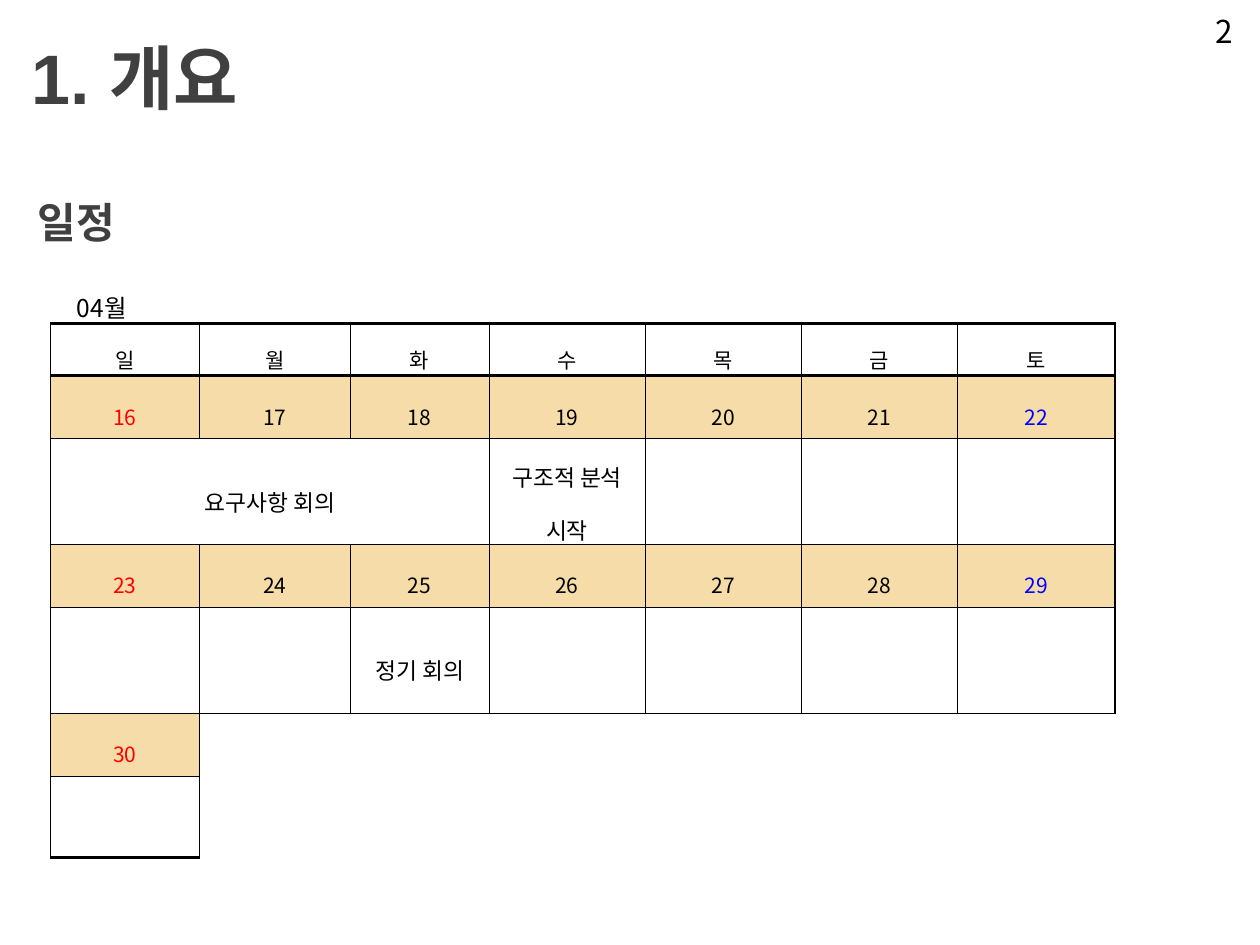
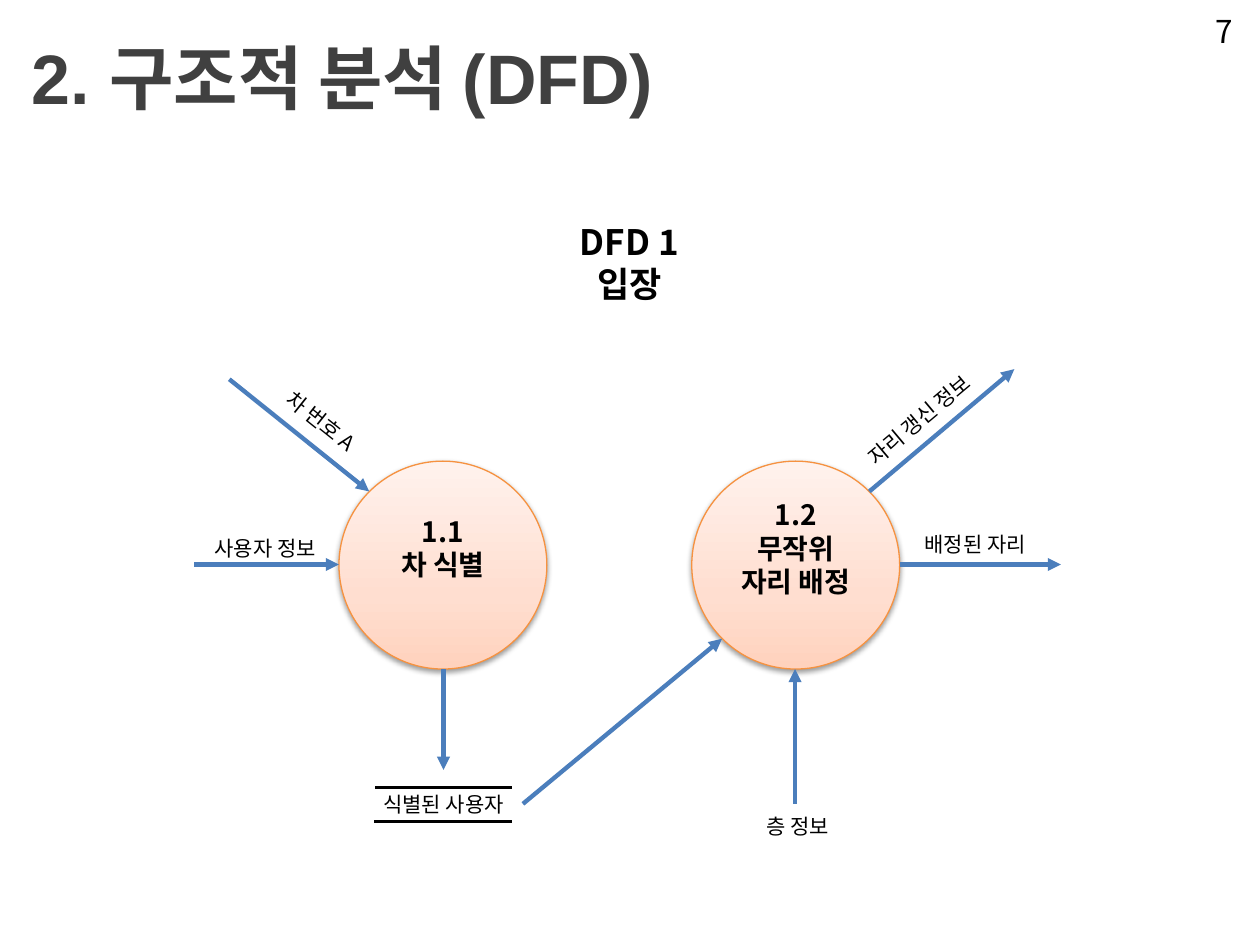
from dataclasses import dataclass

from lxml.etree import SubElement
from pptx import Presentation
from pptx.dml.color import RGBColor
from pptx.enum.shapes import MSO_CONNECTOR, MSO_SHAPE
from pptx.enum.text import MSO_ANCHOR, MSO_AUTO_SIZE, PP_ALIGN
from pptx.oxml import parse_xml
from pptx.oxml.ns import nsdecls, qn
from pptx.util import Inches, Pt

COLORS = {
    "title": "404040",
    "text": "000000",
    "sunday": "FF0000",
    "saturday": "0000FF",
    "date_fill": "F5DCA8",
    "paper": "FFFFFF",
    "arrow": "4B7EBC",
    "process_line": "F69240",
    "process_bottom": "FFD2BD",
    "process_middle": "FFDED0",
    "process_top": "FFF2ED",
}
TITLE_FONT = "Arial"
BODY_FONT = "Noto Sans CJK KR"


@dataclass
class TextStyle:
    size: float
    color: str = "text"
    font: str = BODY_FONT
    bold: bool = False
    align: PP_ALIGN = PP_ALIGN.CENTER


@dataclass
class Label:
    text: str
    left: float
    top: float
    width: float
    height: float = 0.3
    rotation: float = 0


@dataclass
class Process:
    text: str
    left: float


@dataclass
class Line:
    start: tuple[float, float]
    end: tuple[float, float]
    color: str = "arrow"
    width: float = 2.5
    arrow: bool = True


TITLE = TextStyle(40, "title", TITLE_FONT, True, PP_ALIGN.LEFT)
SUBTITLE = TextStyle(24, "title", TITLE_FONT, True, PP_ALIGN.LEFT)
PAGE_NUMBER = TextStyle(18, align=PP_ALIGN.RIGHT)
DIAGRAM_TITLE = TextStyle(20, bold=True)
PROCESS_TEXT = TextStyle(16, bold=True)
FLOW_TEXT = TextStyle(12)


def rgb(name: str) -> RGBColor:
    return RGBColor.from_string(COLORS[name])


def write_text(text_frame, text: str, style: TextStyle) -> None:
    """Write one paragraph for each line of the text."""
    for index, line in enumerate(text.split("\n")):
        paragraph = text_frame.add_paragraph() if index else text_frame.paragraphs[0]
        paragraph.alignment = style.align
        run = paragraph.add_run()
        run.text = line
        run.font.name = style.font
        run.font.size = Pt(style.size)
        run.font.bold = style.bold
        run.font.color.rgb = rgb(style.color)
        SubElement(run.font._element, qn("a:ea"), typeface=BODY_FONT)


def add_label(slide, label: Label, style: TextStyle, grow: bool = True) -> None:
    shape = slide.shapes.add_textbox(
        Inches(label.left), Inches(label.top), Inches(label.width), Inches(label.height)
    )
    shape.rotation = label.rotation
    text_frame = shape.text_frame
    text_frame.word_wrap = True
    if grow:
        text_frame.auto_size = MSO_AUTO_SIZE.SHAPE_TO_FIT_TEXT
    else:
        text_frame.vertical_anchor = MSO_ANCHOR.MIDDLE
    write_text(text_frame, label.text, style)


def add_base_slide(presentation, title: str, number: str):
    """Add a slide with the shared title and page number."""
    slide = presentation.slides.add_slide(presentation.slide_layouts[6])
    add_label(slide, Label(title, 0, 0.02, 10, 1.17), TITLE, grow=False)
    add_label(slide, Label(number, 9.33, 0.05, 0.55, 0.4), PAGE_NUMBER)
    return slide


# Calendar
COLUMN_WIDTHS = [1.18, 1.2, 1.1, 1.24, 1.24, 1.24, 1.25]
ROW_HEIGHTS = [0.47, 0.41, 0.5, 0.84, 0.5, 0.84, 0.5, 0.65]
CALENDAR = {
    0: {0: "04월"},
    1: dict(enumerate("일월화수목금토")),
    2: {day: str(16 + day) for day in range(7)},
    3: {0: "요구사항 회의", 3: "구조적 분석 시작"},
    4: {day: str(23 + day) for day in range(7)},
    5: {2: "정기 회의"},
    6: {0: "30"},
}
DATE_ROWS = (2, 4, 6)
EVENT_ROWS = (3, 5)
MERGES = [(0, 0, 0, 6), (3, 0, 3, 2), (6, 1, 7, 6)]  # top, left, bottom, right
THIN, THICK = 0.28, 1.98


def block_of(row: int, column: int) -> tuple[int, int]:
    for top, left, bottom, right in MERGES:
        if top <= row <= bottom and left <= column <= right:
            return top, left
    return row, column


def horizontal_width(line: int, column: int) -> float:
    """Width of the rule above the row with this index."""
    if line == 0 or block_of(line - 1, column) == block_of(line, column):
        return 0
    return THICK if line in (1, 2, len(ROW_HEIGHTS)) else THIN


def vertical_width(row: int, line: int) -> float:
    """Width of the rule left of the column with this index."""
    if row == 0 or block_of(row, line - 1) == block_of(row, line):
        return 0
    return 1.7 if line == len(COLUMN_WIDTHS) else THIN


def set_borders(cell, row: int, column: int) -> None:
    properties = cell._tc.get_or_add_tcPr()
    widths = {
        "lnL": vertical_width(row, column),
        "lnR": vertical_width(row, column + 1),
        "lnT": horizontal_width(row, column),
        "lnB": horizontal_width(row + 1, column),
    }
    for tag, width in widths.items():
        border = SubElement(properties, qn(f"a:{tag}"), w=str(Pt(width)))
        if width:
            fill = SubElement(border, qn("a:solidFill"))
            SubElement(fill, qn("a:srgbClr"), val=COLORS["text"])
        else:
            SubElement(border, qn("a:noFill"))


def cell_style(row: int, column: int) -> TextStyle:
    if row == 0:
        return TextStyle(14, align=PP_ALIGN.JUSTIFY)
    color = "text"
    if row in DATE_ROWS:
        color = {0: "sunday", 6: "saturday"}.get(column, "text")
    return TextStyle(13 if row in EVENT_ROWS else 12, color)


def add_calendar(slide) -> None:
    table = slide.shapes.add_table(
        len(ROW_HEIGHTS), len(COLUMN_WIDTHS), Inches(0.4), Inches(2.1),
        Inches(sum(COLUMN_WIDTHS)), Inches(sum(ROW_HEIGHTS)),
    ).table
    table.first_row = table.horz_banding = False
    for column, width in zip(table.columns, COLUMN_WIDTHS):
        column.width = Inches(width)
    for row, height in zip(table.rows, ROW_HEIGHTS):
        row.height = Inches(height)
    for top, left, bottom, right in MERGES:
        table.cell(top, left).merge(table.cell(bottom, right))

    for row in range(len(ROW_HEIGHTS)):
        for column in range(len(COLUMN_WIDTHS)):
            cell = table.cell(row, column)
            text = CALENDAR.get(row, {}).get(column)
            set_borders(cell, row, column)
            cell.fill.solid()
            cell.fill.fore_color.rgb = rgb(
                "date_fill" if text and row in DATE_ROWS else "paper"
            )
            cell.vertical_anchor = MSO_ANCHOR.MIDDLE
            cell.margin_left = cell.margin_right = Inches(0.07)
            cell.margin_top = cell.margin_bottom = Inches(0.02)
            if text:
                write_text(cell.text_frame, text, cell_style(row, column))
                cell.text_frame.paragraphs[0].line_spacing = 1.6
    month = table.cell(0, 0).text_frame.paragraphs[0]
    month._p.get_or_add_pPr().set("indent", str(Inches(0.14)))


# Data flow diagram
PROCESS_TOP, PROCESS_SIZE = 3.66, 1.65
PROCESSES = [Process("1.1\n차 식별", 2.69), Process("1.2\n무작위\n자리 배정", 5.49)]
FLOW_LABELS = [
    Label("차 번호 A", 2.04, 3.19, 1.02, rotation=38.6),
    Label("사용자 정보", 1.53, 4.2, 1.15),
    Label("식별된 사용자", 2.85, 6.23, 1.34),
    Label("배정된 자리", 7.15, 4.17, 1.18),
    Label("층 정보", 5.92, 6.41, 0.82),
    Label("자리 갱신 정보", 6.61, 3.18, 1.37, rotation=320),
]
LINES = [
    Line((1.82, 3.01), (2.93, 3.9)),
    Line((1.54, 4.48), (2.69, 4.48)),
    Line((3.52, 5.31), (3.52, 6.11)),
    Line((4.15, 6.38), (5.73, 5.07)),
    Line((6.31, 6.38), (6.31, 5.31)),
    Line((6.9, 3.9), (8.05, 2.93)),
    Line((7.14, 4.48), (8.42, 4.48)),
    # Rules of the data store
    Line((2.98, 6.25), (4.06, 6.25), "text", 2, False),
    Line((2.97, 6.52), (4.06, 6.52), "text", 2, False),
]


def add_process(slide, process: Process) -> None:
    shape = slide.shapes.add_shape(
        MSO_SHAPE.OVAL, Inches(process.left), Inches(PROCESS_TOP),
        Inches(PROCESS_SIZE), Inches(PROCESS_SIZE),
    )
    shape.line.color.rgb = rgb("process_line")
    shape.line.width = Pt(0.75)

    # Gradient from bottom to top, and a soft shadow below
    stops = [(0, "process_bottom"), (35, "process_middle"), (100, "process_top")]
    stop_xml = "".join(
        f'<a:gs pos="{position * 1000}"><a:srgbClr val="{COLORS[name]}"/></a:gs>'
        for position, name in stops
    )
    properties = shape._element.spPr
    properties.find(qn("a:prstGeom")).addnext(parse_xml(
        f'<a:gradFill {nsdecls("a")} rotWithShape="1"><a:gsLst>{stop_xml}</a:gsLst>'
        '<a:lin ang="16200000" scaled="0"/></a:gradFill>'
    ))
    properties.append(parse_xml(
        f'<a:effectLst {nsdecls("a")}><a:outerShdw blurRad="{Pt(3.1)}" '
        f'dist="{Pt(1.6)}" dir="5400000" rotWithShape="0">'
        f'<a:srgbClr val="{COLORS["text"]}"><a:alpha val="38000"/></a:srgbClr>'
        '</a:outerShdw></a:effectLst>'
    ))

    text_frame = shape.text_frame
    text_frame.word_wrap = True
    text_frame.vertical_anchor = MSO_ANCHOR.MIDDLE
    text_frame.margin_bottom = Inches(0.32)
    write_text(text_frame, process.text, PROCESS_TEXT)


def add_line(slide, line: Line) -> None:
    points = [Inches(value) for value in line.start + line.end]
    connector = slide.shapes.add_connector(MSO_CONNECTOR.STRAIGHT, *points)
    connector.line.color.rgb = rgb(line.color)
    connector.line.width = Pt(line.width)
    if line.arrow:
        SubElement(connector.line._get_or_add_ln(), qn("a:tailEnd"), type="triangle")
    SubElement(connector._element.spPr, qn("a:effectLst"))


def main() -> None:
    presentation = Presentation()
    presentation.slide_width = Inches(10)
    presentation.slide_height = Inches(7.5)

    # Schedule slide
    slide = add_base_slide(presentation, " 1. 개요", "2")
    add_label(slide, Label("일정", 0.2, 1.51, 9, 0.5), SUBTITLE, grow=False)
    add_calendar(slide)

    # Structured analysis slide
    slide = add_base_slide(presentation, " 2. 구조적 분석 (DFD)", "7")
    add_label(slide, Label("DFD 1\n입장", 3.69, 1.7, 2.61, 0.77), DIAGRAM_TITLE)
    for process in PROCESSES:
        add_process(slide, process)
    for line in LINES:
        add_line(slide, line)
    for label in FLOW_LABELS:
        add_label(slide, label, FLOW_TEXT)

    presentation.save("out.pptx")


if __name__ == "__main__":
    main()
